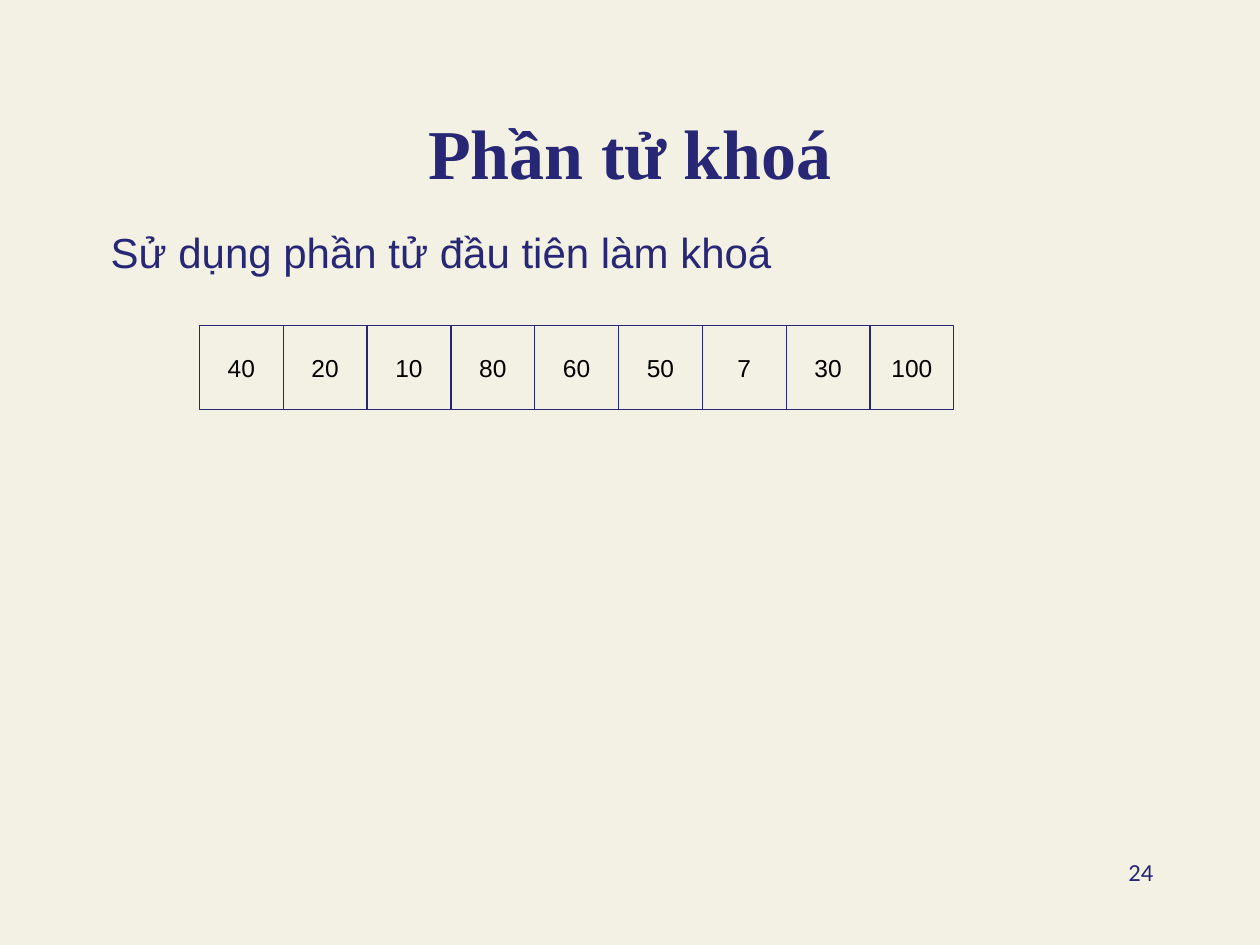
from pptx import Presentation
from pptx.dml.color import RGBColor
from pptx.enum.shapes import MSO_SHAPE
from pptx.enum.text import MSO_ANCHOR, PP_ALIGN
from pptx.util import Cm, Pt

RECTANGLE = MSO_SHAPE.RECTANGLE
TOP, MIDDLE, BOTTOM = MSO_ANCHOR.TOP, MSO_ANCHOR.MIDDLE, MSO_ANCHOR.BOTTOM
LEFT, CENTER, RIGHT = PP_ALIGN.LEFT, PP_ALIGN.CENTER, PP_ALIGN.RIGHT

BACKGROUND, NAVY, BLACK = "F3F1E4", "272776", "000000"
KEYS = [40, 20, 10, 80, 60, 50, 7, 30, 100]


def color(hex_string):
    return RGBColor.from_string(hex_string)


def write_text(shape, text, *, size, font="Arial", fill=NAVY, bold=False,
               align=LEFT, anchor=TOP, wrap=True, space_before=0,
               margin_left=0, indent=0):
    """Fill a shape with one formatted paragraph; indents are in cm."""
    frame = shape.text_frame
    frame.word_wrap = wrap
    frame.vertical_anchor = anchor
    paragraph = frame.paragraphs[0]
    paragraph.alignment = align
    paragraph.space_before = Pt(space_before)
    properties = paragraph._p.get_or_add_pPr()
    properties.set("marL", str(Cm(margin_left)))
    properties.set("indent", str(Cm(indent)))
    run = paragraph.add_run()
    run.text = text
    run.font.size = Pt(size)
    run.font.name = font
    run.font.bold = bold
    run.font.color.rgb = color(fill)


def add_text(slide, box, text, **text_format):
    """Add a text box; box is left, top, width, height in cm."""
    shape = slide.shapes.add_textbox(*(Cm(length) for length in box))
    write_text(shape, text, **text_format)


def add_array(slide, left, top, cell_size, values):
    """Draw the array as a row of touching square cells."""
    for index, value in enumerate(values):
        cell = slide.shapes.add_shape(
            RECTANGLE, Cm(left + index * cell_size), Cm(top),
            Cm(cell_size), Cm(cell_size))
        cell.shadow.inherit = False
        cell.fill.background()
        cell.line.color.rgb = color(NAVY)
        cell.line.width = Pt(0.75)
        write_text(cell, str(value), size=14, fill=BLACK, align=CENTER,
                   anchor=MIDDLE, wrap=False)


def build_slide(presentation):
    slide = presentation.slides.add_slide(presentation.slide_layouts[6])
    slide.background.fill.solid()
    slide.background.fill.fore_color.rgb = color(BACKGROUND)

    # Title
    add_text(slide, (1.9, 0.85, 21.6, 3.17), "Phần tử khoá", size=40,
             font="Times New Roman", bold=True, align=CENTER, anchor=BOTTOM)
    # Body
    add_text(slide, (1.9, 4.45, 21.6, 11.43),
             "Sử dụng phần tử đầu tiên làm khoá", size=24,
             space_before=6.4, margin_left=1.27, indent=-1.19)
    # Slide number
    add_text(slide, (18.2, 17.15, 5.3, 1.27), "24", size=14,
             font="Calibri", align=RIGHT)
    # Array to be sorted
    add_array(slide, 4.02, 6.56, 1.69, KEYS)


def main():
    presentation = Presentation()
    presentation.slide_width = Cm(25.4)
    presentation.slide_height = Cm(19.05)
    build_slide(presentation)
    presentation.save("out.pptx")


if __name__ == "__main__":
    main()
